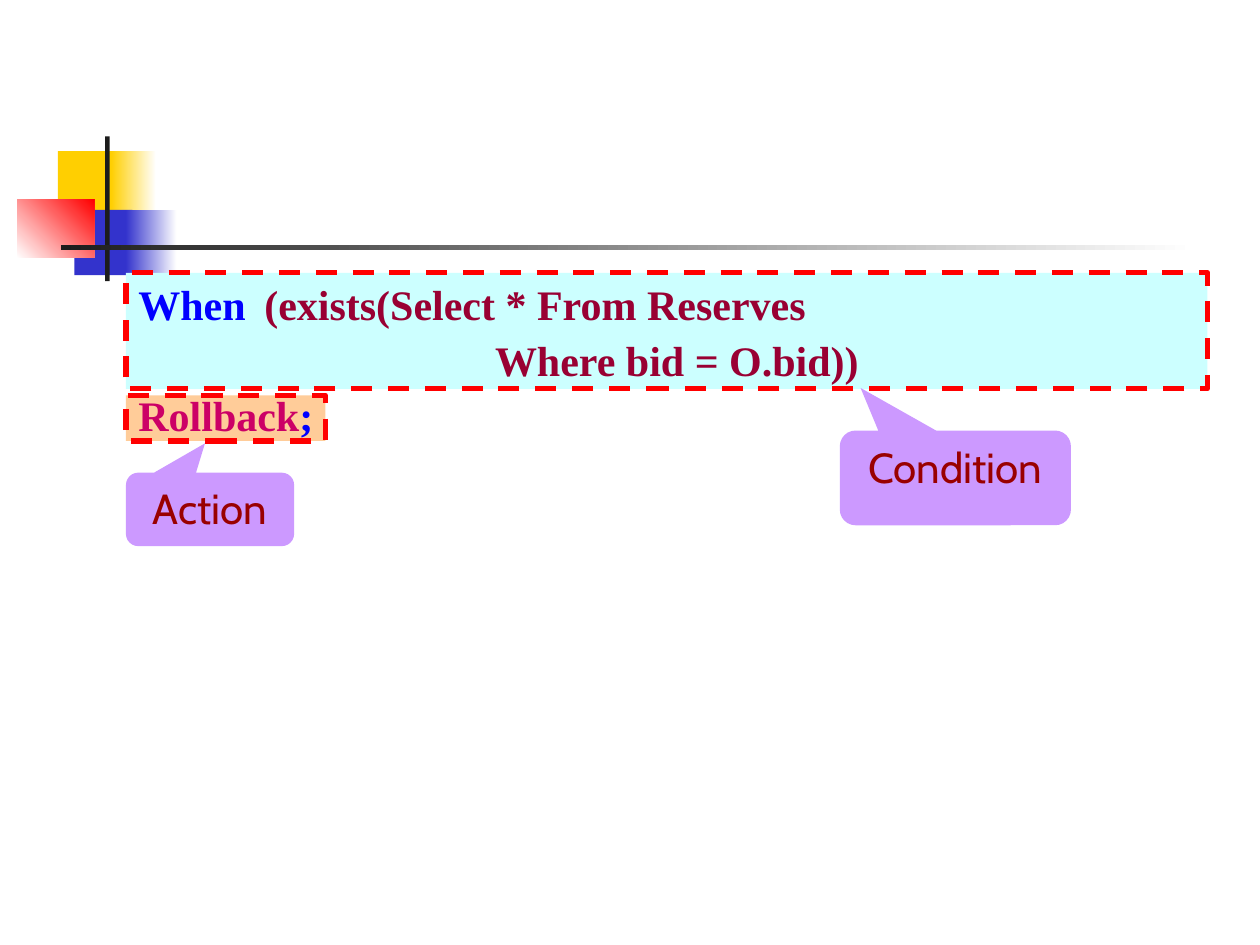
from lxml.etree import SubElement
from pptx import Presentation
from pptx.dml.color import RGBColor
from pptx.enum.dml import MSO_LINE
from pptx.enum.shapes import MSO_SHAPE
from pptx.enum.text import MSO_ANCHOR, PP_ALIGN
from pptx.oxml.ns import qn
from pptx.util import Cm, Pt

WHITE = RGBColor(0xFF, 0xFF, 0xFF)
YELLOW = RGBColor(0xFF, 0xCF, 0x01)
INDIGO = RGBColor(0x33, 0x33, 0xCC)
RED = RGBColor(0xFF, 0x00, 0x00)
CHARCOAL = RGBColor(0x1C, 0x1C, 0x1C)
PEACH = RGBColor(0xFF, 0xCC, 0x99)
PALE_CYAN = RGBColor(0xCC, 0xFF, 0xFF)
LILAC = RGBColor(0xCC, 0x99, 0xFF)
BLUE = RGBColor(0x00, 0x00, 0xFF)
MAROON = RGBColor(0x99, 0x00, 0x33)
MAGENTA = RGBColor(0xCC, 0x00, 0x66)
DARK_RED = RGBColor(0x99, 0x00, 0x00)

presentation = Presentation()
presentation.slide_width = Cm(25.4)
presentation.slide_height = Cm(19.05)
slide = presentation.slides.add_slide(presentation.slide_layouts[6])


def add_filled_shape(kind, box, *colors, angle=0):
    """Add an unlined shape; two colors make a linear gradient."""
    shape = slide.shapes.add_shape(kind, *(Cm(length) for length in box))
    shape.shadow.inherit = False
    shape.line.fill.background()
    if len(colors) == 1:
        shape.fill.solid()
        shape.fill.fore_color.rgb = colors[0]
    else:
        shape.fill.gradient()
        shape.fill.gradient_angle = angle
        for stop, color in zip(shape.fill.gradient_stops, colors):
            stop.color.rgb = color
    return shape


def add_text(paragraph, text, *, font, color, bold=False):
    run = paragraph.add_run()
    run.text = text
    run.font.name = font
    run.font.size = Pt(24)
    run.font.bold = bold
    run.font.color.rgb = color


# Corner ornament
for box, colors, angle in [
    ((1.17, 3.05, 1.22, 1.32), [YELLOW], 0),
    ((2.24, 3.05, 0.91, 1.32), [YELLOW, WHITE], 0),
    ((1.5, 4.23, 1.17, 1.32), [INDIGO], 0),
    ((2.54, 4.23, 1.02, 1.32), [INDIGO, WHITE], 0),
    ((0.35, 4.02, 1.55, 1.18), [WHITE, RED], 45),
    ((2.12, 2.75, 0.09, 2.92), [CHARCOAL], 0),
    ((1.23, 4.94, 22.86, 0.1), [CHARCOAL, WHITE], 0),
]:
    add_filled_shape(MSO_SHAPE.RECTANGLE, box, *colors, angle=angle)

# Dashed frames behind the rule's action and condition
for box, color in [
    ((2.54, 7.97, 4.02, 0.92), PEACH),
    ((2.54, 5.5, 21.8, 2.34), PALE_CYAN),
]:
    frame = add_filled_shape(MSO_SHAPE.RECTANGLE, box, color)
    frame.line.color.rgb = RED
    frame.line.width = Pt(3)
    frame.line.dash_style = MSO_LINE.DASH

# Rule code
code_box = slide.shapes.add_textbox(Cm(2.54), Cm(5.49), Cm(22.02), Cm(3.53))
code_frame = code_box.text_frame
code_frame.word_wrap = True
code_lines = [
    (0, [("When\t", BLUE), ("(exists(Select * From Reserves", MAROON)]),
    (7.19, [("Where bid = O.bid))", MAROON)]),
    (0, [("Rollback", MAGENTA), (";", BLUE)]),
]
for index, (indent, pieces) in enumerate(code_lines):
    paragraph = code_frame.add_paragraph() if index else code_frame.paragraphs[0]
    properties = paragraph._p.get_or_add_pPr()
    properties.set("marL", str(Cm(indent)))
    properties.set("indent", "0")
    if index:
        paragraph.space_before = Pt(3)
    else:
        tabs = SubElement(properties, qn("a:tabLst"))
        SubElement(tabs, qn("a:tab"), pos=str(Cm(2.63)), algn="l")
    for text, color in pieces:
        add_text(paragraph, text, font="Times New Roman", color=color, bold=True)

# Callouts
for label, box, pointer in [
    ("Condition", (16.93, 8.68, 4.66, 1.91), (-0.41, -0.95)),
    ("Action", (2.54, 9.53, 3.39, 1.48), (-0.03, -0.9)),
]:
    callout = add_filled_shape(MSO_SHAPE.ROUNDED_RECTANGULAR_CALLOUT, box, LILAC)
    callout.adjustments[0], callout.adjustments[1] = pointer
    callout.text_frame.vertical_anchor = MSO_ANCHOR.TOP
    paragraph = callout.text_frame.paragraphs[0]
    paragraph.alignment = PP_ALIGN.CENTER
    add_text(paragraph, label, font="Cabin", color=DARK_RED)

presentation.save("out.pptx")
